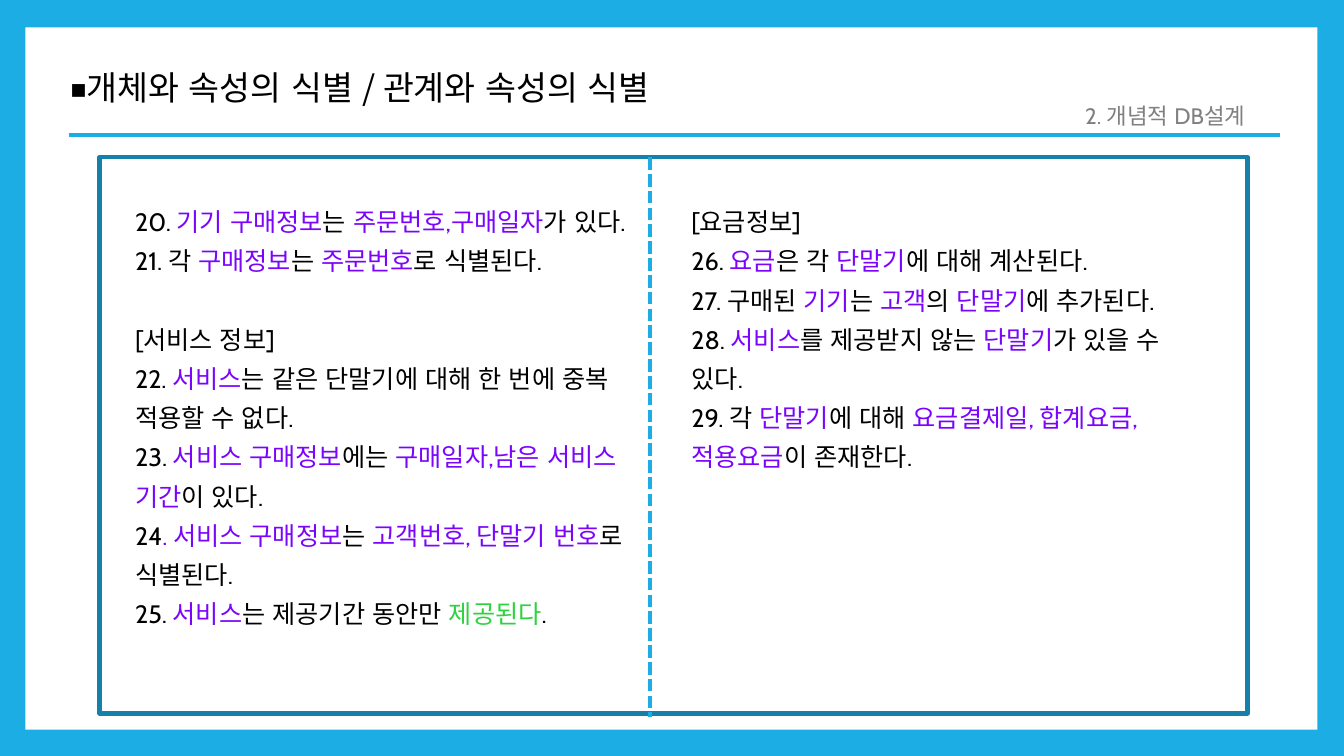
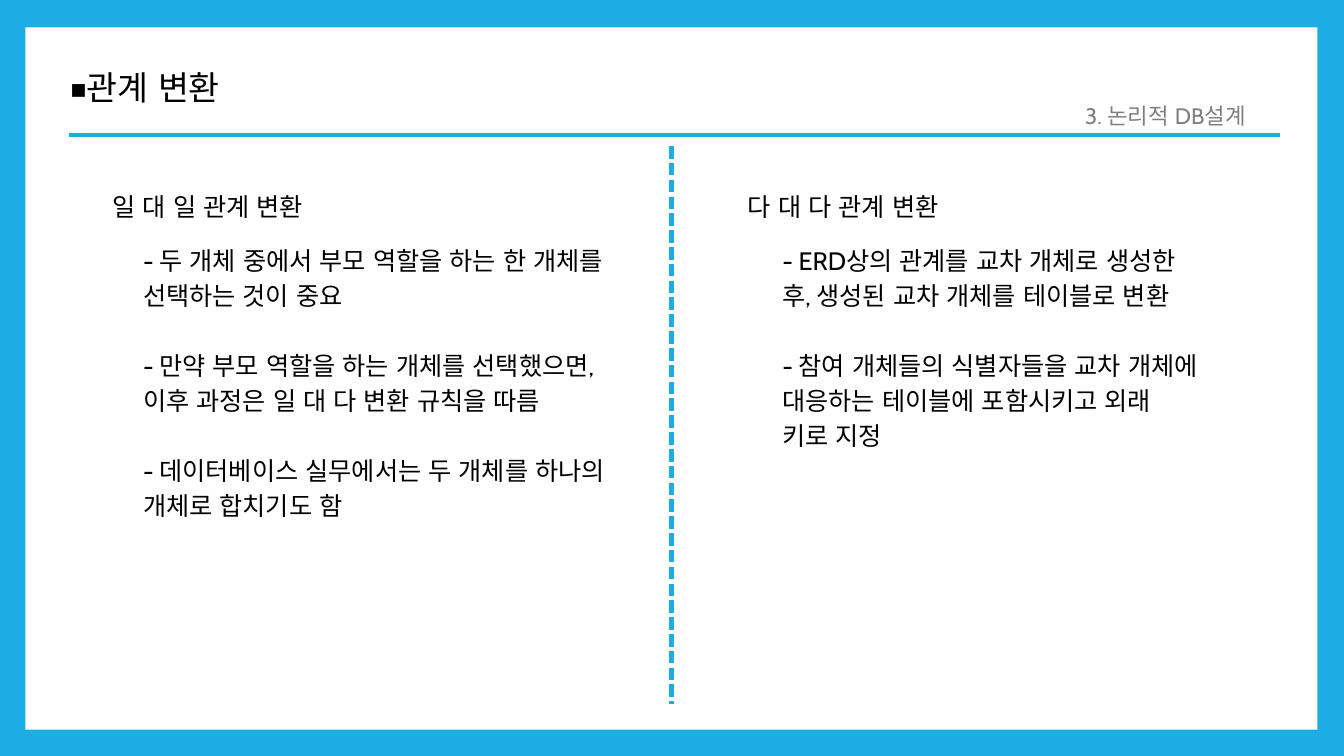
from lxml.etree import SubElement
from pptx import Presentation
from pptx.dml.color import RGBColor
from pptx.enum.dml import MSO_LINE
from pptx.enum.lang import MSO_LANGUAGE_ID
from pptx.enum.shapes import MSO_CONNECTOR, MSO_SHAPE
from pptx.enum.text import MSO_ANCHOR, MSO_AUTO_SIZE, PP_ALIGN
from pptx.oxml.ns import qn
from pptx.util import Cm, Pt

BLUE = RGBColor(0x1C, 0xAD, 0xE4)
DARK_BLUE = RGBColor(0x15, 0x80, 0xA9)
WHITE = RGBColor(0xFF, 0xFF, 0xFF)
BLACK = RGBColor(0x00, 0x00, 0x00)
GREY = RGBColor(0x80, 0x80, 0x80)
PURPLE = RGBColor(0x7A, 0x04, 0xFC)
GREEN = RGBColor(0x2D, 0xD3, 0x3D)
LATIN_FONT = "Cabin"
KOREAN_FONT = "Noto Sans CJK KR"

TWO_CONTENT, COMPARISON = 3, 4
ACTIONS = {"제공된다"}

# Text between bars is a key term; each inner list is a group of paragraphs.
PAGES = [
    {
        "layout": TWO_CONTENT,
        "title": "◾개체와 속성의 식별 / 관계와 속성의 식별",
        "section": "2. 개념적 DB설계",
        "frame": (2.51, 3.96, 28.93, 14.02),
        "divider": (16.38, 3.96, 18.06),
        "line": 28,
        "headings": [],
        "lists": [
            ((3.15, 4.85, 12.93, 12.22), [
                ["20. |기기 구매정보|는 |주문번호,구매일자|가 있다.",
                 "21. 각 |구매정보|는 |주문번호|로 식별된다."],
                ["[서비스 정보]",
                 "22. |서비스|는 같은 단말기에 대해 한 번에 중복 적용할 수 없다.",
                 "23. |서비스 구매정보|에는 |구매일자,남은 서비스 기간|이 있다.",
                 "24|. 서비스 구매정보|는 |고객번호, 단말기 번호|로 식별된다.",
                 "25. |서비스|는 제공기간 동안만 |제공된다|."],
            ]),
            ((17.17, 4.85, 12.93, 7.24), [
                ["[요금정보]",
                 "26. |요금|은 각 |단말기|에 대해 계산된다.",
                 "27. 구매된 |기기|는 |고객|의 |단말기|에 추가된다.",
                 "28. |서비스|를 제공받지 않는 |단말기|가 있을 수 있다.",
                 "29. 각 |단말기|에 대해 |요금결제일, 합계요금, 적용요금|이 존재한다."],
            ]),
        ],
    },
    {
        "layout": COMPARISON,
        "title": "◾관계 변환",
        "section": "3. 논리적 DB설계",
        "frame": None,
        "divider": (16.92, 3.68, 17.75),
        "line": 25,
        "headings": [
            ((0.91, 4.7, 8.66, 1.02), "일 대 일 관계 변환"),
            ((16.92, 4.7, 8.66, 1.02), "다 대 다 관계 변환"),
        ],
        "lists": [
            ((3.35, 5.94, 12.42, 7.39), [
                ["- 두 개체 중에서 부모 역할을 하는 한 개체를 선택하는 것이 중요"],
                ["- 만약 부모 역할을 하는 개체를 선택했으면, 이후 과정은 일 대 다 변환 규칙을 따름"],
                ["- 데이터베이스 실무에서는 두 개체를 하나의 개체로 합치기도 함"],
            ]),
            ((19.46, 5.94, 11.1, 5.59), [
                ["- ERD상의 관계를 교차 개체로 생성한 후, 생성된 교차 개체를 테이블로 변환"],
                ["- 참여 개체들의 식별자들을 교차 개체에 대응하는 테이블에 포함시키고 외래 키로 지정"],
            ]),
        ],
    },
]


def place(box, area):
    box.left, box.top, box.width, box.height = map(Cm, area)


def add_span(para, text, size, font, color):
    span = para.add_run()
    span.text = text
    span.font.size = Pt(size)
    span.font.bold = False
    span.font.color.rgb = color
    span.font.name = font
    span.font.language_id = MSO_LANGUAGE_ID.KOREAN
    SubElement(span.font._element, qn("a:ea")).set("typeface", KOREAN_FONT)


def write(box, groups, size=18, font=LATIN_FONT, color=BLACK,
          align=PP_ALIGN.LEFT, line=None):
    frame = box.text_frame
    frame.word_wrap = True
    frame.auto_size = MSO_AUTO_SIZE.SHAPE_TO_FIT_TEXT
    frame.vertical_anchor = MSO_ANCHOR.TOP
    para = None
    for group in groups:
        if para is not None and line:
            para.space_after = Pt(line)
        for text in group:
            para = frame.paragraphs[0] if para is None else frame.add_paragraph()
            para.alignment = align
            para.space_before = para.space_after = Pt(0)
            if line:
                para.line_spacing = Pt(line)
            properties = para._p.get_or_add_pPr()
            properties.set("marL", "0")
            properties.set("indent", "0")
            SubElement(properties, qn("a:buNone"))
            for index, part in enumerate(text.split("|")):
                term_color = GREEN if part in ACTIONS else PURPLE
                add_span(para, part, size, font, term_color if index % 2 else color)


def add_rectangle(page, area, fill=None, outline=None):
    box = page.shapes.add_shape(MSO_SHAPE.RECTANGLE, *map(Cm, area))
    box.shadow.inherit = False
    if fill is None:
        box.fill.background()
    else:
        box.fill.solid()
        box.fill.fore_color.rgb = fill
    if outline is None:
        box.line.fill.background()
    else:
        box.line.color.rgb = outline
        box.line.width = Pt(3)
    return box


def add_line(page, start, end, dash=None):
    line = page.shapes.add_connector(MSO_CONNECTOR.STRAIGHT, *map(Cm, start + end))
    line.line.color.rgb = BLUE
    line.line.width = Pt(3)
    if dash:
        line.line.dash_style = dash
    SubElement(line._element.spPr, qn("a:effectLst"))
    return line


def decorate_master(deck, page):
    master = deck.slide_master
    master.background.fill.solid()
    master.background.fill.fore_color.rgb = BLUE
    panel = add_rectangle(page, (0.64, 0.69, 32.56, 17.7), fill=WHITE)
    rule = add_line(page, (1.73, 3.4), (32.26, 3.4))
    for index, shape in enumerate((panel, rule), start=2):
        master.shapes.element.insert(index, shape._element)


def build_page(deck, content):
    page = deck.slides.add_slide(deck.slide_layouts[content["layout"]])
    title, *bodies = page.placeholders
    place(title, (1.52, 1.57, 22.4, 1.27))
    write(title, [[content["title"]]], size=24, font=KOREAN_FONT)

    section = page.shapes.add_textbox(*map(Cm, (27.1, 2.46, 5.16, 0.94)))
    write(section, [[content["section"]]], size=16, color=GREY)

    if content["headings"]:
        headings, bodies = bodies[::2], bodies[1::2]
        for box, (area, text) in zip(headings, content["headings"]):
            place(box, area)
            write(box, [[text]], align=PP_ALIGN.CENTER)
    for box, (area, groups) in zip(bodies, content["lists"]):
        place(box, area)
        write(box, groups, line=content["line"])

    if content["frame"]:
        add_rectangle(page, content["frame"], outline=DARK_BLUE)
    x, top, bottom = content["divider"]
    add_line(page, (x, top), (x, bottom), dash=MSO_LINE.SQUARE_DOT)
    return page


def main():
    deck = Presentation()
    deck.slide_width, deck.slide_height = Cm(33.87), Cm(19.05)
    pages = [build_page(deck, content) for content in PAGES]
    decorate_master(deck, pages[0])
    deck.save("out.pptx")


if __name__ == "__main__":
    main()
